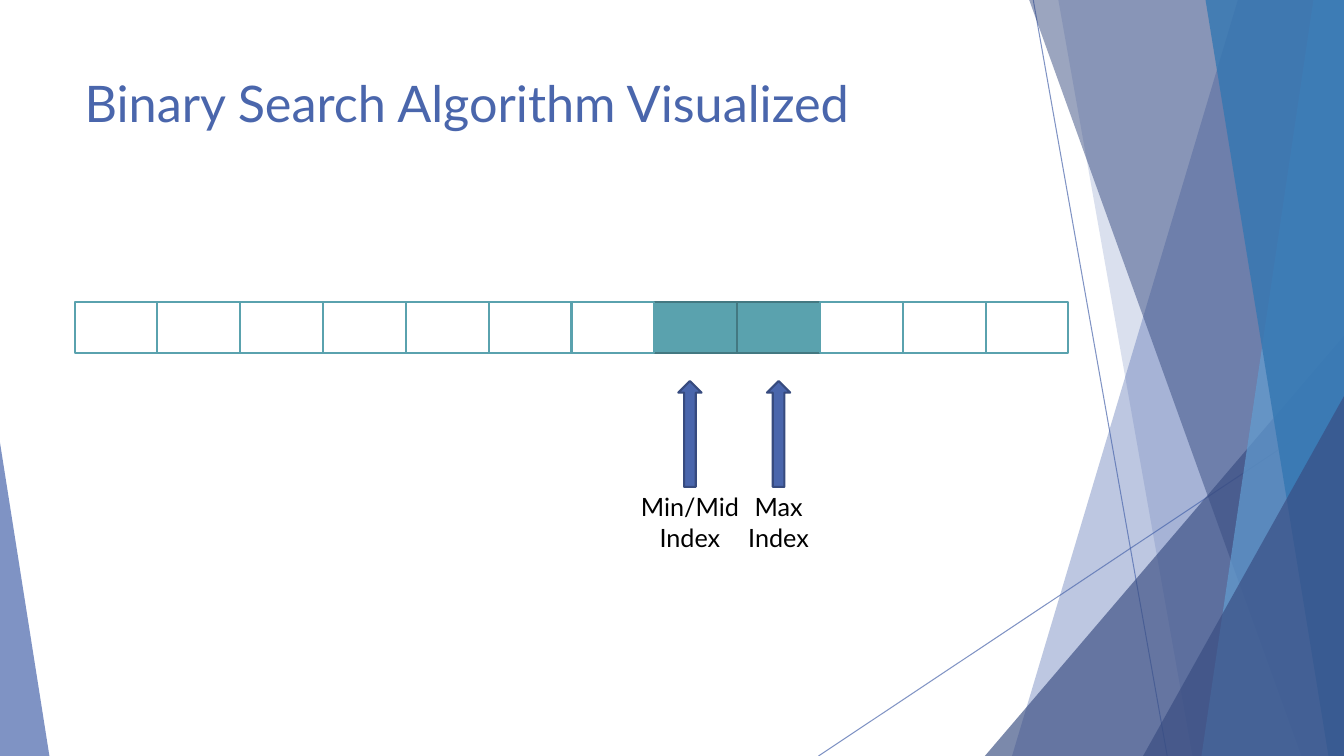
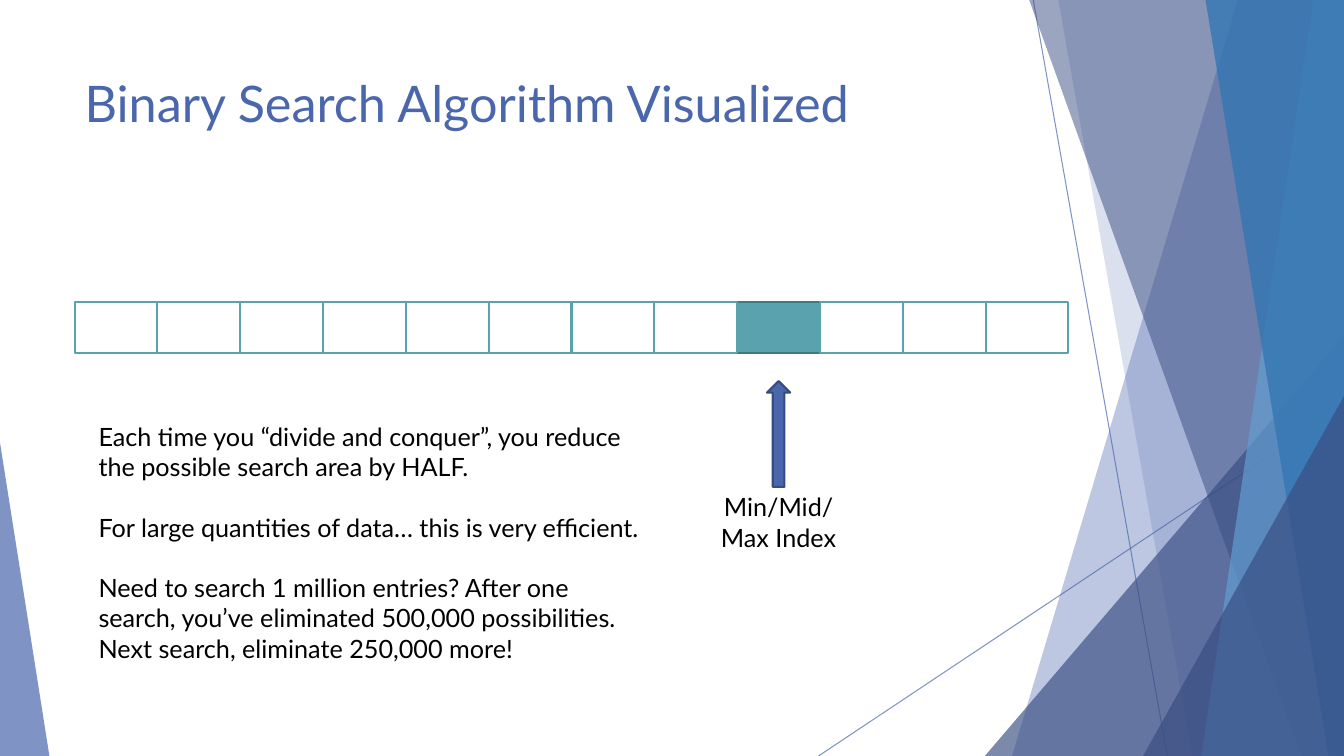
"""Build two slides that visualize the last steps of a binary search."""
from dataclasses import dataclass

from lxml.etree import SubElement
from pptx import Presentation
from pptx.dml.color import RGBColor
from pptx.enum.shapes import MSO_CONNECTOR, MSO_SHAPE
from pptx.enum.text import PP_ALIGN
from pptx.oxml.ns import qn
from pptx.util import Inches, Pt


@dataclass(frozen=True)
class Theme:
    """Colours, font and sizes shared by the slides."""
    blue: str = "4A66AC"
    navy: str = "384C81"
    sky: str = "629DD1"
    azure: str = "3477B2"
    arrow_edge: str = "374B7F"
    teal: str = "5AA2AE"
    teal_edge: str = "437881"
    white: str = "FFFFFF"
    black: str = "000000"
    font: str = "Lato"
    title_size: int = 36
    text_size: int = 18
    outline: float = 1.5
    hairline: float = 0.75


THEME = Theme()
WIDTH, HEIGHT = Inches(13.333), Inches(7.5)
CELL_COUNT = 12
GRID_LEFT, GRID_WIDTH = 5.55, 73.95
COLUMN = GRID_WIDTH / CELL_COUNT
CELL_TOP, CELL_HEIGHT = 40, 6.67
ARROW_TOP, ARROW_WIDTH, ARROW_HEIGHT = 50.4, 1.73, 14
LABEL_HEIGHT = 9.47
TITLE = "Binary Search Algorithm Visualized"
NOTES = [
    "Each time you “divide and conquer”, you reduce the possible search area by HALF.",
    "For large quantities of data… this is very efficient.",
    "Need to search 1 million entries? After one search, you’ve eliminated "
    "500,000 possibilities. Next search, eliminate 250,000 more!",
]


def across(percent):
    """Return a percentage of the slide width."""
    return round(WIDTH * percent / 100)


def down(percent):
    """Return a percentage of the slide height."""
    return round(HEIGHT * percent / 100)


def column_position(columns):
    """Return the horizontal percentage at a number of grid columns."""
    return GRID_LEFT + columns * COLUMN


def frame(left, top, width, height):
    """Convert a box in percentages to slide lengths."""
    return across(left), down(top), across(width), down(height)


def set_opacity(shape, percent):
    """Make the colours of a shape or line translucent."""
    for color in shape.element.spPr.iter(qn("a:srgbClr")):
        SubElement(color, qn("a:alpha")).set("val", str(percent * 1000))


def paint(shape, fill, edge=None):
    """Give a shape a flat fill and an optional outline."""
    shape.shadow.inherit = False
    shape.fill.solid()
    shape.fill.fore_color.rgb = RGBColor.from_string(fill)
    if edge:
        shape.line.color.rgb = RGBColor.from_string(edge)
        shape.line.width = Pt(THEME.outline)
    else:
        shape.line.fill.background()


def add_hairline(slide, start, end):
    """Draw a thin translucent line between two points."""
    line = slide.shapes.add_connector(
        MSO_CONNECTOR.STRAIGHT,
        across(start[0]), down(start[1]), across(end[0]), down(end[1]))
    line.line.color.rgb = RGBColor.from_string(THEME.blue)
    line.line.width = Pt(THEME.hairline)
    SubElement(line.element.spPr, qn("a:effectLst"))
    set_opacity(line, 70)


def add_band(slide, top_left, bottom_left, color, opacity):
    """Draw a translucent band that reaches the right slide edge."""
    builder = slide.shapes.build_freeform(across(top_left), 0)
    builder.add_line_segments(
        [(WIDTH, 0), (WIDTH, HEIGHT), (across(bottom_left), HEIGHT)])
    band = builder.convert_to_shape()
    paint(band, color)
    set_opacity(band, opacity)


def add_corner(slide, left, top, width, apex, color, opacity):
    """Draw a translucent triangle standing on the bottom edge."""
    corner = slide.shapes.add_shape(
        MSO_SHAPE.ISOSCELES_TRIANGLE, *frame(left, top, width, 100 - top))
    corner.adjustments[0] = apex
    paint(corner, color)
    set_opacity(corner, opacity)


def add_backdrop(slide):
    """Draw the layered decoration shared by the slides."""
    add_hairline(slide, (76.88, 0), (86.85, 100))
    add_hairline(slide, (100, 53.73), (60.9, 100))
    add_band(slide, 92.1, 75.3, THEME.blue, 36)
    add_band(slide, 78.75, 88.73, THEME.blue, 20)
    add_corner(slide, 73.28, 44.4, 26.72, 1, THEME.navy, 66)
    add_band(slide, 76.58, 96.83, THEME.navy, 50)
    add_band(slide, 97.73, 89.4, THEME.sky, 70)
    add_band(slide, 89.7, 98.85, THEME.azure, 80)
    add_corner(slide, 85.05, 52.4, 14.95, 1, THEME.navy, 66)
    add_corner(slide, 0, 58.53, 3.68, 0, THEME.blue, 70)


def add_text(slide, box, paragraphs, size=THEME.text_size,
             color=THEME.black, alignment=PP_ALIGN.LEFT):
    """Add wrapped paragraphs set one line apart."""
    text_frame = slide.shapes.add_textbox(*frame(*box)).text_frame
    text_frame.word_wrap = True
    text_frame.text = "\n".join(paragraphs)
    for index, paragraph in enumerate(text_frame.paragraphs):
        paragraph.alignment = alignment
        paragraph.space_before = Pt(size * 1.2 if index else 0)
        for run in paragraph.runs:
            run.font.name = THEME.font
            run.font.size = Pt(size)
            run.font.color.rgb = RGBColor.from_string(color)


def add_cells(slide, active):
    """Draw the array, with the active cells beneath their neighbours."""
    for index in sorted(range(CELL_COUNT), key=lambda cell: cell not in active):
        cell = slide.shapes.add_shape(
            MSO_SHAPE.RECTANGLE,
            *frame(column_position(index), CELL_TOP, COLUMN, CELL_HEIGHT))
        if index in active:
            paint(cell, THEME.teal, THEME.teal_edge)
        else:
            paint(cell, THEME.white, THEME.teal)


def add_pointer(slide, label, center, label_columns):
    """Draw an arrow below the array with its label."""
    middle = column_position(center)
    arrow = slide.shapes.add_shape(
        MSO_SHAPE.UP_ARROW,
        *frame(middle - ARROW_WIDTH / 2, ARROW_TOP, ARROW_WIDTH, ARROW_HEIGHT))
    paint(arrow, THEME.blue, THEME.arrow_edge)
    label_width = label_columns * COLUMN
    add_text(slide, (middle - label_width / 2, ARROW_TOP + ARROW_HEIGHT,
                     label_width, LABEL_HEIGHT),
             [label], alignment=PP_ALIGN.CENTER)


def add_search_slide(presentation, active, pointers):
    """Add a slide with the title, array and index pointers."""
    slide = presentation.slides.add_slide(presentation.slide_layouts[6])
    add_backdrop(slide)
    add_text(slide, (GRID_LEFT, 8.93, 70.5, 11.33), [TITLE],
             THEME.title_size, THEME.blue)
    add_cells(slide, active)
    for pointer in pointers:
        add_pointer(slide, *pointer)
    return slide


def main():
    """Build and save the presentation."""
    presentation = Presentation()
    presentation.slide_width, presentation.slide_height = WIDTH, HEIGHT
    add_search_slide(presentation, {7, 8},
                     [("Min/Mid Index", 7.43, 1.5), ("Max Index", 8.5, 1)])
    final_slide = add_search_slide(presentation, {8},
                                   [("Min/Mid/Max Index", 8.5, 2.06)])
    add_text(final_slide, (6.6, 55.07, 42.15, 37.73), NOTES)
    presentation.save("out.pptx")


if __name__ == "__main__":
    main()
